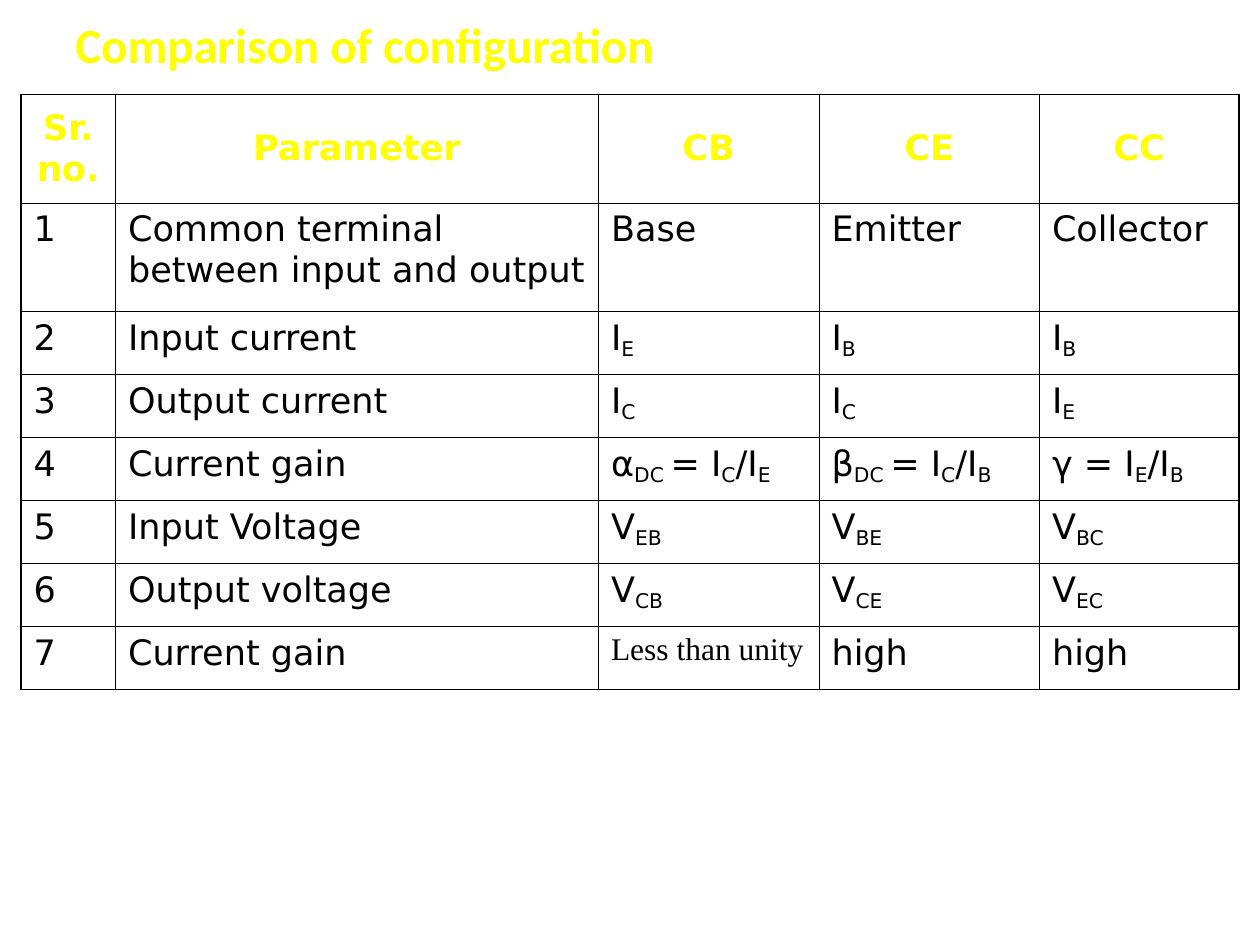
from lxml.etree import SubElement
from pptx import Presentation
from pptx.dml.color import RGBColor
from pptx.enum.text import MSO_ANCHOR, PP_ALIGN
from pptx.oxml.ns import qn
from pptx.util import Pt

HUES = {"head": "FFFF00", "body": "000000", "line": "000000"}
COLS = [54, 276, 126, 126, 114]
ROWS = [62, 62] + [36] * 6
THIN, THICK = 0.45, 1.08
CELLS = [
    ["Sr.\vno.", "Parameter", "CB", "CE", "CC"],
    ["1", "Common terminal between input and output", "Base", "Emitter", "Collector"],
    ["2", "Input current", "I_E", "I_B", "I_B"],
    ["3", "Output current", "I_C", "I_C", "I_E"],
    ["4", "Current gain", "α_DC _= I_C_/I_E", "β_DC _= I_C_/I_B", "γ = I_E_/I_B"],
    ["5", "Input Voltage", "V_EB", "V_BE", "V_BC"],
    ["6", "Output voltage", "V_CB", "V_CE", "V_EC"],
    ["7", "Current gain", "Less than unity", "high", "high"],
]
SERIF = (7, 2)


def style(para, face, size, hue, bold=False):
    """Set the font of a whole paragraph."""
    font = para.font
    font.name, font.size, font.bold = face, Pt(size), bold
    font.color.rgb = RGBColor.from_string(HUES[hue])


def write(para, text):
    """Write text in which each second part between underscores is a subscript."""
    if "\v" in text:
        para.text = text
        return
    for i, part in enumerate(text.split("_")):
        run = para.add_run()
        run.text = part
        if i % 2:
            run._r.get_or_add_rPr().set("baseline", "-18000")


def border(cell, edges):
    """Draw the four borders of a cell, thick on the outer edges."""
    props = cell._tc.get_or_add_tcPr()
    for side, outer in edges.items():
        width = Pt(THICK if outer else THIN)
        line = SubElement(props, qn(f"a:ln{side}"), w=str(width))
        fill = SubElement(line, qn("a:solidFill"))
        SubElement(fill, qn("a:srgbClr"), val=HUES["line"])


def title(slide, left, top, width, height):
    """Place the slide title."""
    box = slide.shapes.add_textbox(Pt(left), Pt(top), Pt(width), Pt(height))
    frame = box.text_frame
    frame.word_wrap = True
    frame.vertical_anchor = MSO_ANCHOR.MIDDLE
    para = frame.paragraphs[0]
    para.text = "Comparison of configuration"
    style(para, "Calibri", 28, "head", True)


def grid(slide, left, top):
    """Place the comparison table."""
    shape = slide.shapes.add_table(len(ROWS), len(COLS), Pt(left), Pt(top),
                                   Pt(sum(COLS)), Pt(sum(ROWS)))
    table = shape.table
    table.first_row = table.horz_banding = False
    for col, width in zip(table.columns, COLS):
        col.width = Pt(width)
    for row, height in zip(table.rows, ROWS):
        row.height = Pt(height)
    for r, texts in enumerate(CELLS):
        for c, text in enumerate(texts):
            cell = table.cell(r, c)
            border(cell, {"L": c == 0, "R": c == len(COLS) - 1,
                          "T": r == 0, "B": r == len(ROWS) - 1})
            cell.fill.background()
            para = cell.text_frame.paragraphs[0]
            write(para, text)
            if r == 0:
                cell.vertical_anchor = MSO_ANCHOR.MIDDLE
                para.alignment = PP_ALIGN.CENTER
                style(para, "DejaVu Sans", 20, "head", True)
            elif (r, c) == SERIF:
                style(para, "Times New Roman", 18, "body")
            else:
                style(para, "DejaVu Sans", 20, "body")


def main():
    """Build and save the slide."""
    deck = Presentation()
    deck.slide_width, deck.slide_height = Pt(720), Pt(540)
    slide = deck.slides.add_slide(deck.slide_layouts[6])
    title(slide, 36, 6, 648, 38)
    grid(slide, 12, 54)
    deck.save("out.pptx")


if __name__ == "__main__":
    main()
